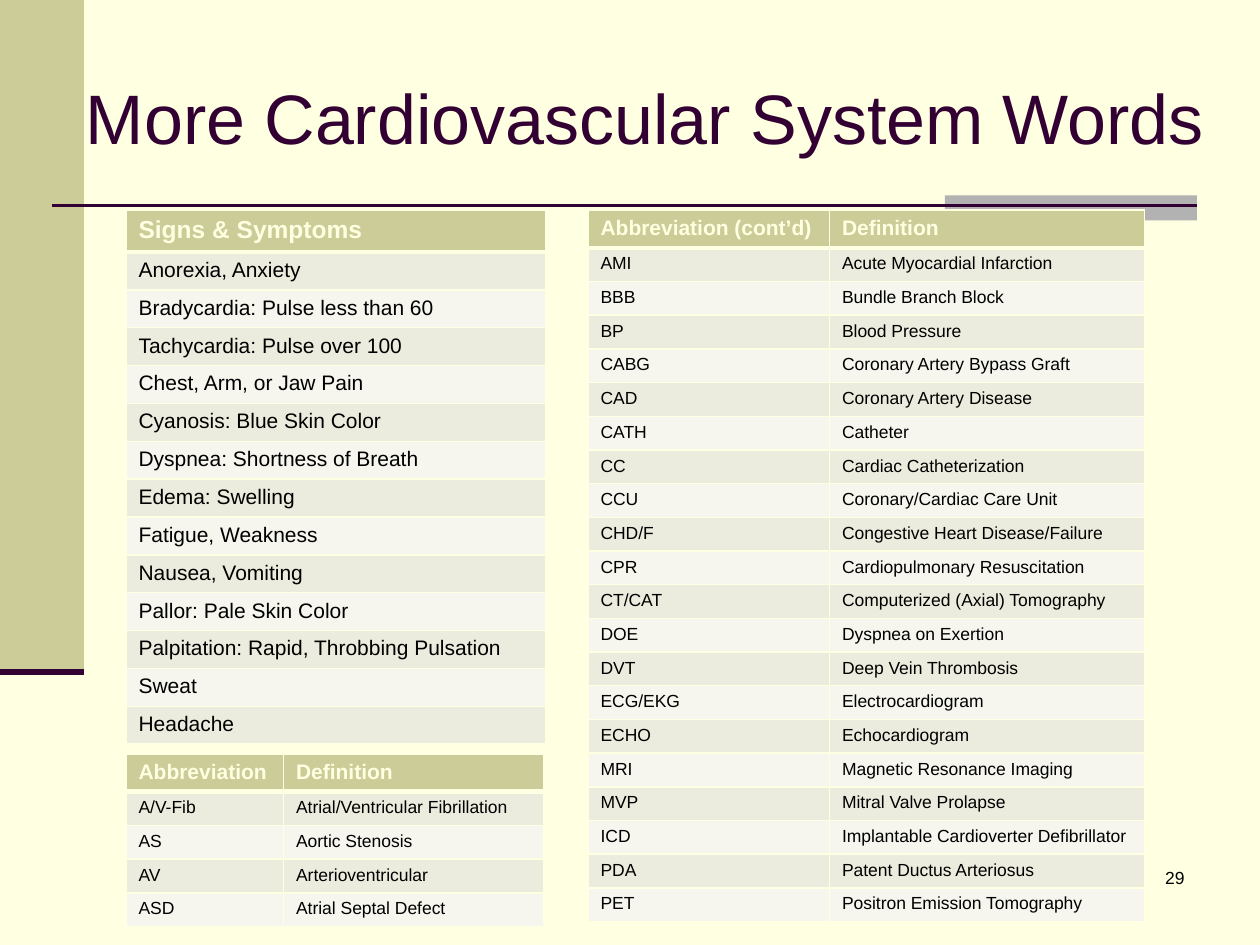
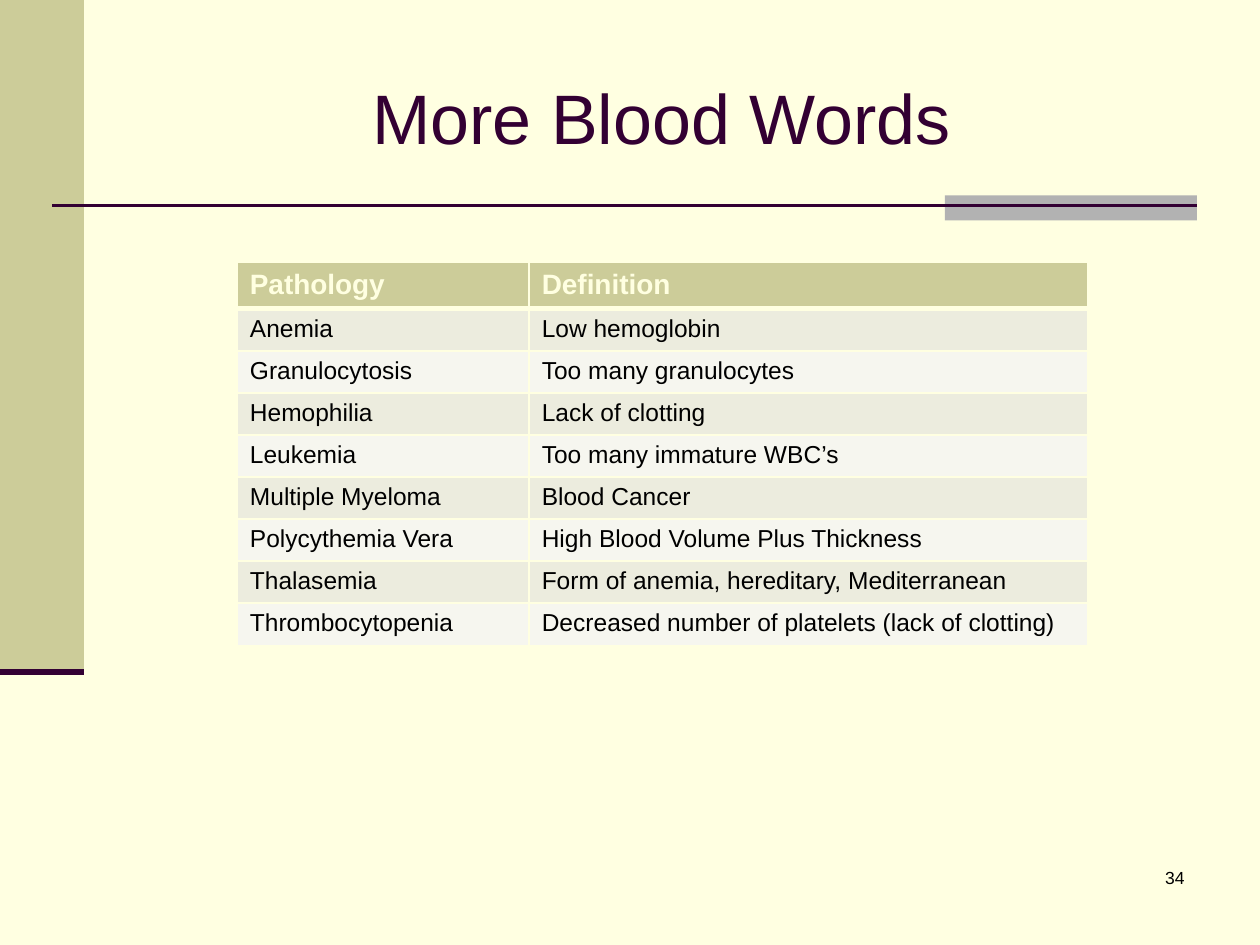
from dataclasses import dataclass

import lxml.etree
import pptx
import pptx.dml.color
import pptx.enum.shapes
import pptx.enum.text
import pptx.oxml.ns
import pptx.util

SLIDE_WIDTH = pptx.util.Inches(10)
SLIDE_HEIGHT = pptx.util.Inches(7.5)
GRID_COLUMNS = 120
GRID_ROWS = 90


@dataclass(frozen=True)
class Theme:
    font: str = "Arial"
    paper: str = "FFFFE1"
    khaki: str = "CCCC99"
    grey: str = "B2B2B2"
    plum: str = "330033"
    ink: str = "000000"
    stripes: tuple[str, str] = ("ECECDE", "F6F6EF")
    title_size: int = 40
    number_size: int = 10
    rule_width: float = 1.5
    band_rule_width: float = 3.5
    cell_border: int = 1
    header_border: int = 3


@dataclass(frozen=True)
class Area:
    column: float
    row: float
    columns: float
    rows: float


@dataclass(frozen=True)
class Block:
    area: Area
    color: str


@dataclass(frozen=True)
class Rule:
    start: tuple[float, float]
    end: tuple[float, float]
    width: float


@dataclass(frozen=True)
class WordTable:
    column: float
    row: float
    widths: tuple[float, ...]
    height: float
    header_height: float
    header_size: int
    body_size: int
    header: tuple[str, ...]
    entries: tuple[tuple[str, ...], ...]


@dataclass(frozen=True)
class WordPage:
    title: str
    title_area: Area
    title_alignment: pptx.enum.text.PP_ALIGN
    number: int
    tables: tuple[WordTable, ...]


THEME = Theme()
ALIGN = pptx.enum.text.PP_ALIGN
ANCHOR = pptx.enum.text.MSO_ANCHOR
NUMBER_AREA = Area(89, 82, 25, 6)
BLOCKS = (
    Block(Area(0, 0, 8, 64), THEME.khaki),
    Block(Area(90, 18.6, 24, 2.4), THEME.grey),
)
RULES = (
    Rule((5, 19.6), (114, 19.6), THEME.rule_width),
    Rule((0, 64), (8, 64), THEME.band_rule_width),
)

SYMPTOMS = WordTable(
    12, 20, (40,), 48.5, 3.8, 14, 12,
    ("Signs & Symptoms",),
    (
        ("Anorexia, Anxiety",),
        ("Bradycardia: Pulse less than 60",),
        ("Tachycardia: Pulse over 100",),
        ("Chest, Arm, or Jaw Pain",),
        ("Cyanosis: Blue Skin Color",),
        ("Dyspnea: Shortness of Breath",),
        ("Edema: Swelling",),
        ("Fatigue, Weakness",),
        ("Nausea, Vomiting",),
        ("Pallor: Pale Skin Color",),
        ("Palpitation: Rapid, Throbbing Pulsation",),
        ("Sweat",),
        ("Headache",),
    ),
)
MORE_ABBREVIATIONS = WordTable(
    56, 20, (23, 30), 64.6, 3.4, 12, 10,
    ("Abbreviation (cont’d)", "Definition"),
    (
        ("AMI", "Acute Myocardial Infarction"),
        ("BBB", "Bundle Branch Block"),
        ("BP", "Blood Pressure"),
        ("CABG", "Coronary Artery Bypass Graft"),
        ("CAD", "Coronary Artery Disease"),
        ("CATH", "Catheter"),
        ("CC", "Cardiac Catheterization"),
        ("CCU", "Coronary/Cardiac Care Unit"),
        ("CHD/F", "Congestive Heart Disease/Failure"),
        ("CPR", "Cardiopulmonary Resuscitation"),
        ("CT/CAT", "Computerized (Axial) Tomography"),
        ("DOE", "Dyspnea on Exertion"),
        ("DVT", "Deep Vein Thrombosis"),
        ("ECG/EKG", "Electrocardiogram"),
        ("ECHO", "Echocardiogram"),
        ("MRI", "Magnetic Resonance Imaging"),
        ("MVP", "Mitral Valve Prolapse"),
        ("ICD", "Implantable Cardioverter Defibrillator"),
        ("PDA", "Patent Ductus Arteriosus"),
        ("PET", "Positron Emission Tomography"),
    ),
)
ABBREVIATIONS = WordTable(
    12, 71.8, (15, 24.8), 15.8, 3.4, 12, 10,
    ("Abbreviation", "Definition"),
    (
        ("A/V-Fib", "Atrial/Ventricular Fibrillation"),
        ("AS", "Aortic Stenosis"),
        ("AV", "Arterioventricular"),
        ("ASD", "Atrial Septal Defect"),
    ),
)
PATHOLOGIES = WordTable(
    22.6, 25, (27.8, 53.2), 34.7, 4.1, 16, 14,
    ("Pathology", "Definition"),
    (
        ("Anemia", "Low hemoglobin"),
        ("Granulocytosis", "Too many granulocytes"),
        ("Hemophilia", "Lack of clotting"),
        ("Leukemia", "Too many immature WBC’s"),
        ("Multiple Myeloma", "Blood Cancer"),
        ("Polycythemia Vera", "High Blood Volume Plus Thickness"),
        ("Thalasemia", "Form of anemia, hereditary, Mediterranean"),
        ("Thrombocytopenia", "Decreased number of platelets (lack of clotting)"),
    ),
)
PAGES = (
    WordPage("More Cardiovascular System Words", Area(7, 3.6, 110, 15), ALIGN.LEFT, 29,
             (SYMPTOMS, MORE_ABBREVIATIONS, ABBREVIATIONS)),
    WordPage("More Blood Words", Area(12, 3.6, 102, 15), ALIGN.CENTER, 34,
             (PATHOLOGIES,)),
)


def across(columns: float) -> int:
    return round(SLIDE_WIDTH * columns / GRID_COLUMNS)


def down(rows: float) -> int:
    return round(SLIDE_HEIGHT * rows / GRID_ROWS)


def place(area: Area) -> tuple[int, int, int, int]:
    return across(area.column), down(area.row), across(area.columns), down(area.rows)


def rgb(color: str) -> pptx.dml.color.RGBColor:
    return pptx.dml.color.RGBColor.from_string(color)


def paint(fill, color: str) -> None:
    fill.solid()
    fill.fore_color.rgb = rgb(color)


def style_text(frame, size: int, color: str, bold: bool = False) -> None:
    for para in frame.paragraphs:
        for span in para.runs:
            span.font.name = THEME.font
            span.font.size = pptx.util.Pt(size)
            span.font.bold = bold
            span.font.color.rgb = rgb(color)


def add_text(page, area: Area, text: str, size: int, color: str, alignment, anchor) -> None:
    frame = page.shapes.add_textbox(*place(area)).text_frame
    frame.word_wrap = True
    frame.vertical_anchor = anchor
    frame.text = text
    frame.paragraphs[0].alignment = alignment
    style_text(frame, size, color)


def add_block(page, block: Block) -> None:
    box = page.shapes.add_shape(pptx.enum.shapes.MSO_SHAPE.RECTANGLE, *place(block.area))
    box.shadow.inherit = False
    paint(box.fill, block.color)
    box.line.fill.background()


def add_rule(page, rule: Rule) -> None:
    line = page.shapes.add_connector(
        pptx.enum.shapes.MSO_CONNECTOR.STRAIGHT,
        across(rule.start[0]), down(rule.start[1]),
        across(rule.end[0]), down(rule.end[1]),
    )
    line.line.color.rgb = rgb(THEME.plum)
    line.line.width = pptx.util.Pt(rule.width)
    lxml.etree.SubElement(line._element.spPr, pptx.oxml.ns.qn("a:effectLst"))


def add_borders(cell, row: int) -> None:
    properties = cell._tc.get_or_add_tcPr()
    widths = {
        "L": THEME.cell_border,
        "R": THEME.cell_border,
        "T": THEME.header_border if row == 1 else THEME.cell_border,
        "B": THEME.header_border if row == 0 else THEME.cell_border,
    }
    for side, width in widths.items():
        edge = lxml.etree.SubElement(
            properties, pptx.oxml.ns.qn(f"a:ln{side}"), w=str(pptx.util.Pt(width)))
        fill = lxml.etree.SubElement(edge, pptx.oxml.ns.qn("a:solidFill"))
        lxml.etree.SubElement(fill, pptx.oxml.ns.qn("a:srgbClr"), val=THEME.paper)


def add_word_table(page, words: WordTable) -> None:
    lines = (words.header, *words.entries)
    area = Area(words.column, words.row, sum(words.widths), words.height)
    table = page.shapes.add_table(len(lines), len(words.widths), *place(area)).table
    for column, width in zip(table.columns, words.widths):
        column.width = across(width)
    body_height = (words.height - words.header_height) / len(words.entries)
    for row, line in enumerate(lines):
        is_header = row == 0
        table.rows[row].height = down(words.header_height if is_header else body_height)
        size = words.header_size if is_header else words.body_size
        color = THEME.paper if is_header else THEME.ink
        fill = THEME.khaki if is_header else THEME.stripes[(row - 1) % 2]
        for column, text in enumerate(line):
            cell = table.cell(row, column)
            cell.text_frame.text = text
            style_text(cell.text_frame, size, color, is_header)
            add_borders(cell, row)
            paint(cell.fill, fill)


def add_page(deck, content: WordPage) -> None:
    page = deck.slides.add_slide(deck.slide_layouts[6])
    paint(page.background.fill, THEME.paper)
    for block in BLOCKS:
        add_block(page, block)
    for rule in RULES:
        add_rule(page, rule)
    add_text(page, content.title_area, content.title, THEME.title_size, THEME.plum,
             content.title_alignment, ANCHOR.MIDDLE)
    add_text(page, NUMBER_AREA, str(content.number), THEME.number_size, THEME.ink,
             ALIGN.RIGHT, ANCHOR.TOP)
    for words in content.tables:
        add_word_table(page, words)


def main() -> None:
    deck = pptx.Presentation()
    deck.slide_width = SLIDE_WIDTH
    deck.slide_height = SLIDE_HEIGHT
    for content in PAGES:
        add_page(deck, content)
    deck.save("out.pptx")


if __name__ == "__main__":
    main()
